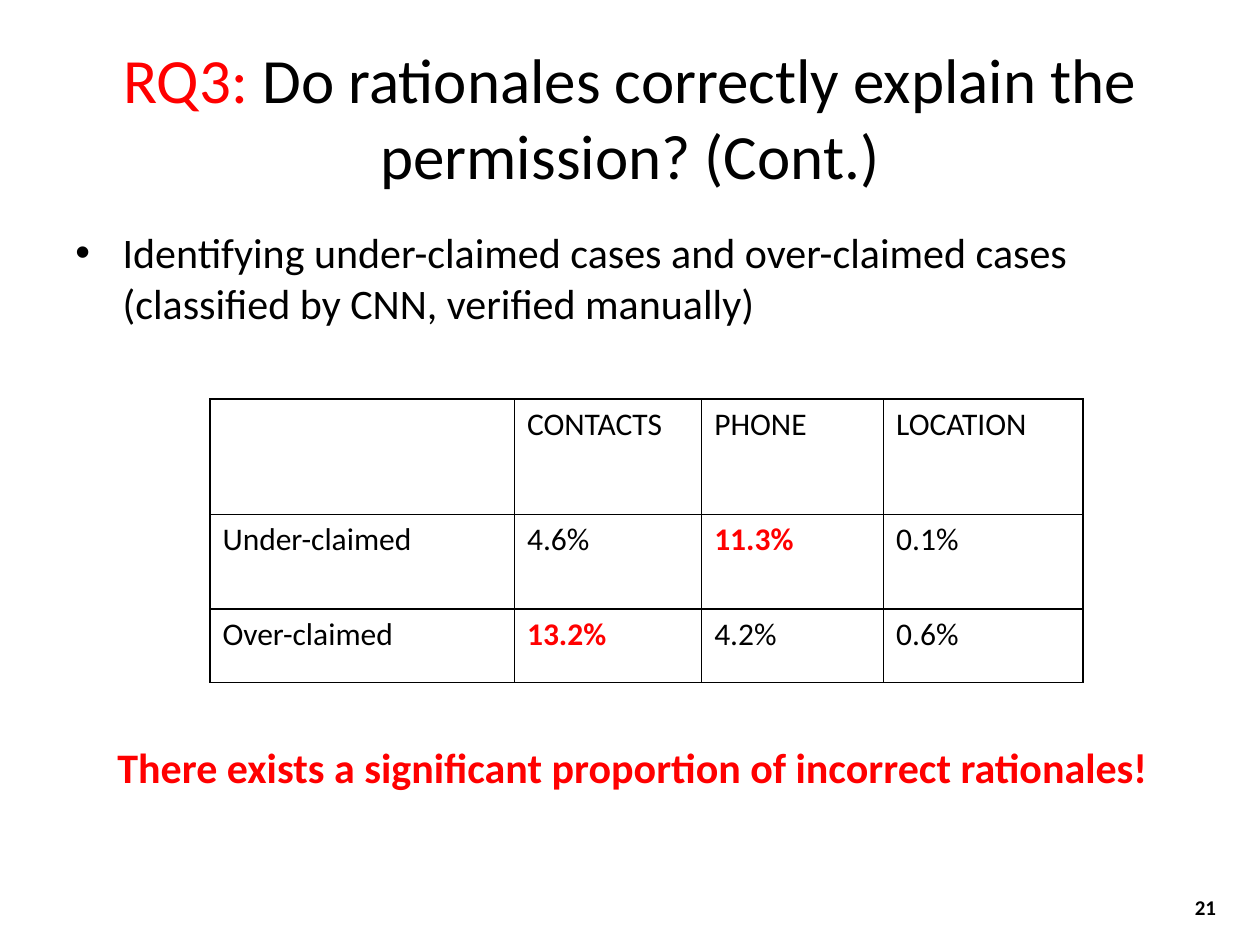
"""Build the slide on whether rationales correctly explain the permission."""
import pptx
import pptx.dml.color
import pptx.enum.text
import pptx.oxml
import pptx.oxml.ns
import pptx.util

Pt = pptx.util.Pt
ALIGN = pptx.enum.text.PP_ALIGN
ANCHOR = pptx.enum.text.MSO_ANCHOR
BLACK, RED = "000000", "FF0000"
COLUMN_WIDTHS = [174, 107, 104, 114]
ROW_HEIGHTS = [66, 54, 42]
ROWS = [
    ["", "CONTACTS", "PHONE", "LOCATION"],
    ["Under-claimed", "4.6%", "11.3%", "0.1%"],
    ["Over-claimed", "13.2%", "4.2%", "0.6%"],
]
HIGHLIGHTS = {"11.3%", "13.2%"}


def set_values(target, values):
    """Set each attribute of the target from a dict."""
    for name, value in values.items():
        setattr(target, name, value)


def add_span(para, text, size, color=BLACK, bold=False):
    """Append a formatted run to a paragraph."""
    span = para.add_run()
    span.text = text
    set_values(span.font, {"name": "Calibri", "size": Pt(size), "bold": bold})
    span.font.color.rgb = pptx.dml.color.RGBColor.from_string(color)


def place(box, left, top, width, height):
    """Move and size a shape, in points."""
    set_values(box, {"left": Pt(left), "top": Pt(top),
                     "width": Pt(width), "height": Pt(height)})


def set_frame(box, anchor):
    """Make the text of a shape wrap at a fixed size."""
    set_values(box.text_frame, {
        "word_wrap": True,
        "auto_size": pptx.enum.text.MSO_AUTO_SIZE.NONE,
        "vertical_anchor": anchor,
    })


def add_title(page):
    """Fill the title placeholder."""
    title = page.shapes.title
    place(title, 36, 21.6, 648, 90)
    set_frame(title, ANCHOR.MIDDLE)
    para = title.text_frame.paragraphs[0]
    para.alignment = ALIGN.CENTER
    add_span(para, "RQ3: ", 36, RED)
    add_span(para, "Do rationales correctly explain the permission? (Cont.)", 36)


def add_text(page, bounds, text, size, color=BLACK, bold=False,
             align=ALIGN.LEFT, anchor=ANCHOR.TOP):
    """Add a one-paragraph text box and return its paragraph."""
    box = page.shapes.add_textbox(*map(Pt, bounds))
    set_frame(box, anchor)
    para = box.text_frame.paragraphs[0]
    para.alignment = align
    add_span(para, text, size, color, bold)
    return para


def add_bullet(para, indent):
    """Give a paragraph a hanging round bullet."""
    properties = para._p.get_or_add_pPr()
    properties.set("marL", str(Pt(indent)))
    properties.set("indent", str(-Pt(indent)))
    namespace = pptx.oxml.ns.nsdecls("a")
    for markup in (f'<a:buFont {namespace} typeface="Arial"/>',
                   f'<a:buChar {namespace} char="•"/>'):
        properties.append(pptx.oxml.parse_xml(markup))


def add_borders(cell):
    """Draw a thin black line on every side of a cell."""
    properties = cell._tc.get_or_add_tcPr()
    namespace = pptx.oxml.ns.nsdecls("a")
    for index, side in enumerate(("lnL", "lnR", "lnT", "lnB")):
        properties.insert(index, pptx.oxml.parse_xml(
            f'<a:{side} {namespace} w="{Pt(1)}"><a:solidFill>'
            f'<a:srgbClr val="{BLACK}"/></a:solidFill></a:{side}>'))


def add_claims_table(page):
    """Add the table of claim rates per permission."""
    frame = page.shapes.add_table(
        len(ROWS), len(COLUMN_WIDTHS), Pt(120), Pt(228),
        Pt(sum(COLUMN_WIDTHS)), Pt(sum(ROW_HEIGHTS)))
    table = frame.table
    set_values(table, {"first_row": False, "horz_banding": False})
    for column, width in zip(table.columns, COLUMN_WIDTHS):
        column.width = Pt(width)
    for row, height, texts in zip(table.rows, ROW_HEIGHTS, ROWS):
        row.height = Pt(height)
        for cell, text in zip(row.cells, texts):
            cell.fill.background()
            add_borders(cell)
            if text:
                strong = text in HIGHLIGHTS
                add_span(cell.text_frame.paragraphs[0], text, 18,
                         RED if strong else BLACK, strong)


def main():
    """Build and save the deck."""
    deck = pptx.Presentation()
    set_values(deck, {"slide_width": Pt(720), "slide_height": Pt(540)})
    page = deck.slides.add_slide(deck.slide_layouts[5])
    add_title(page)
    add_text(page, (534, 504, 168, 28.8), "21", 12, bold=True,
             align=ALIGN.RIGHT, anchor=ANCHOR.MIDDLE)
    para = add_text(page, (36, 126, 648, 90),
                    "Identifying under-claimed cases and over-claimed cases "
                    "(classified by CNN, verified manually)", 24)
    add_bullet(para, 27)
    add_claims_table(page)
    add_text(page, (60, 420, 612, 36),
             "There exists a significant proportion of incorrect rationales!",
             24, RED, bold=True)
    deck.save("out.pptx")


if __name__ == "__main__":
    main()
